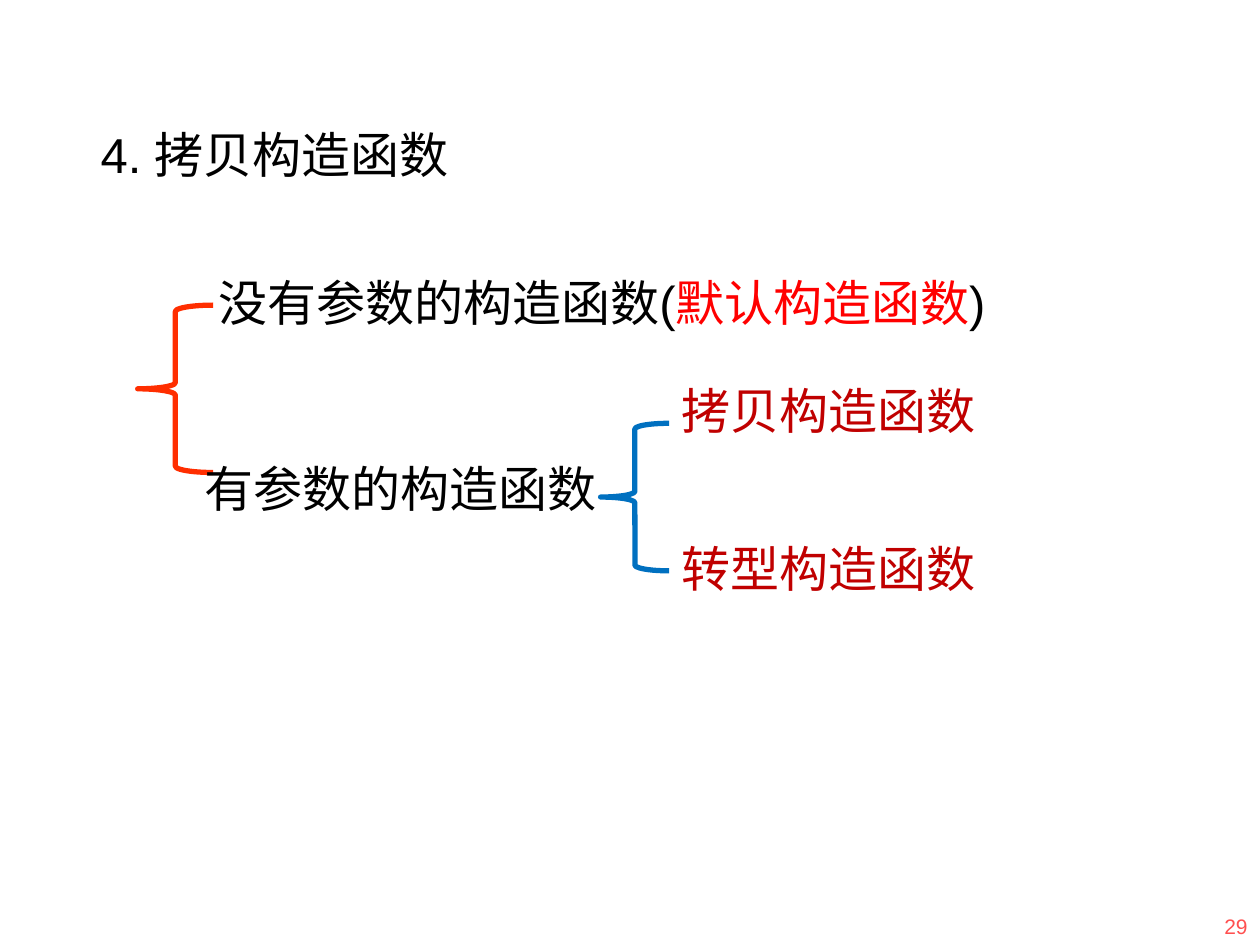
import dataclasses
import typing

import pptx
import pptx.dml.color
import pptx.enum.shapes
import pptx.enum.text
import pptx.slide
import pptx.util


@dataclasses.dataclass(frozen=True)
class Theme:
    font: str = "Arial"
    body_size: float = 28
    number_size: float = 12
    brace_width: float = 3
    black: str = "000000"
    red: str = "FF0000"
    dark_red: str = "C00000"
    coral: str = "FF5050"
    orange: str = "FF2E00"
    blue: str = "0070C0"


THEME = Theme()


class Box(typing.NamedTuple):
    left: float
    top: float
    width: float
    height: float

    def lengths(self) -> list[pptx.util.Length]:
        return [pptx.util.Pt(value) for value in self]


class Span(typing.NamedTuple):
    text: str
    color: str = THEME.black


@dataclasses.dataclass(frozen=True)
class Label:
    box: Box
    spans: tuple[Span, ...]
    size: float = THEME.body_size
    grows: bool = True
    alignment: typing.Any = pptx.enum.text.PP_ALIGN.LEFT
    anchor: typing.Any = pptx.enum.text.MSO_ANCHOR.TOP


class Brace(typing.NamedTuple):
    box: Box
    color: str


LINE_HEIGHT = 41.2
BRANCH_LEFT = 382.4

LABELS = (
    Label(Box(50.4, 67.6, 641.6, 62), (Span("4. 拷贝构造函数"),), grows=False),
    Label(
        Box(118, 151.9, 551.6, LINE_HEIGHT),
        (Span("没有参数的构造函数("), Span("默认构造函数", THEME.red), Span(")")),
    ),
    Label(Box(110, 258.5, 422, LINE_HEIGHT), (Span("有参数的构造函数"),)),
    Label(Box(BRANCH_LEFT, 213.9, 242, LINE_HEIGHT), (Span("拷贝构造函数", THEME.dark_red),)),
    Label(Box(BRANCH_LEFT, 303.9, 253.4, LINE_HEIGHT), (Span("转型构造函数", THEME.dark_red),)),
    Label(
        Box(638, 504, 82, 36),
        (Span("29", THEME.coral),),
        size=THEME.number_size,
        grows=False,
        alignment=pptx.enum.text.PP_ALIGN.RIGHT,
        anchor=pptx.enum.text.MSO_ANCHOR.BOTTOM,
    ),
)

BRACES = (
    Brace(Box(343.2, 241.9, 39.2, 84.3), THEME.blue),
    Brace(Box(78.7, 174.4, 43.1, 95.6), THEME.orange),
)


def draw_brace(slide: pptx.slide.Slide, brace: Brace) -> None:
    shape = slide.shapes.add_shape(
        pptx.enum.shapes.MSO_SHAPE.LEFT_BRACE, *brace.box.lengths()
    )
    shape.shadow.inherit = False
    shape.fill.background()
    shape.line.color.rgb = pptx.dml.color.RGBColor.from_string(brace.color)
    shape.line.width = pptx.util.Pt(THEME.brace_width)


def draw_label(slide: pptx.slide.Slide, label: Label) -> None:
    text_frame = slide.shapes.add_textbox(*label.box.lengths()).text_frame
    text_frame.word_wrap = True
    text_frame.vertical_anchor = label.anchor
    if label.grows:
        text_frame.auto_size = pptx.enum.text.MSO_AUTO_SIZE.SHAPE_TO_FIT_TEXT
    paragraph = text_frame.paragraphs[0]
    paragraph.alignment = label.alignment
    for span in label.spans:
        run = paragraph.add_run()
        run.text = span.text
        run.font.name = THEME.font
        run.font.size = pptx.util.Pt(label.size)
        run.font.color.rgb = pptx.dml.color.RGBColor.from_string(span.color)


def main() -> None:
    presentation = pptx.Presentation()
    presentation.slide_width = pptx.util.Pt(720)
    presentation.slide_height = pptx.util.Pt(540)
    slide = presentation.slides.add_slide(presentation.slide_layouts[6])
    for brace in BRACES:
        draw_brace(slide, brace)
    for label in LABELS:
        draw_label(slide, label)
    presentation.save("out.pptx")


if __name__ == "__main__":
    main()
